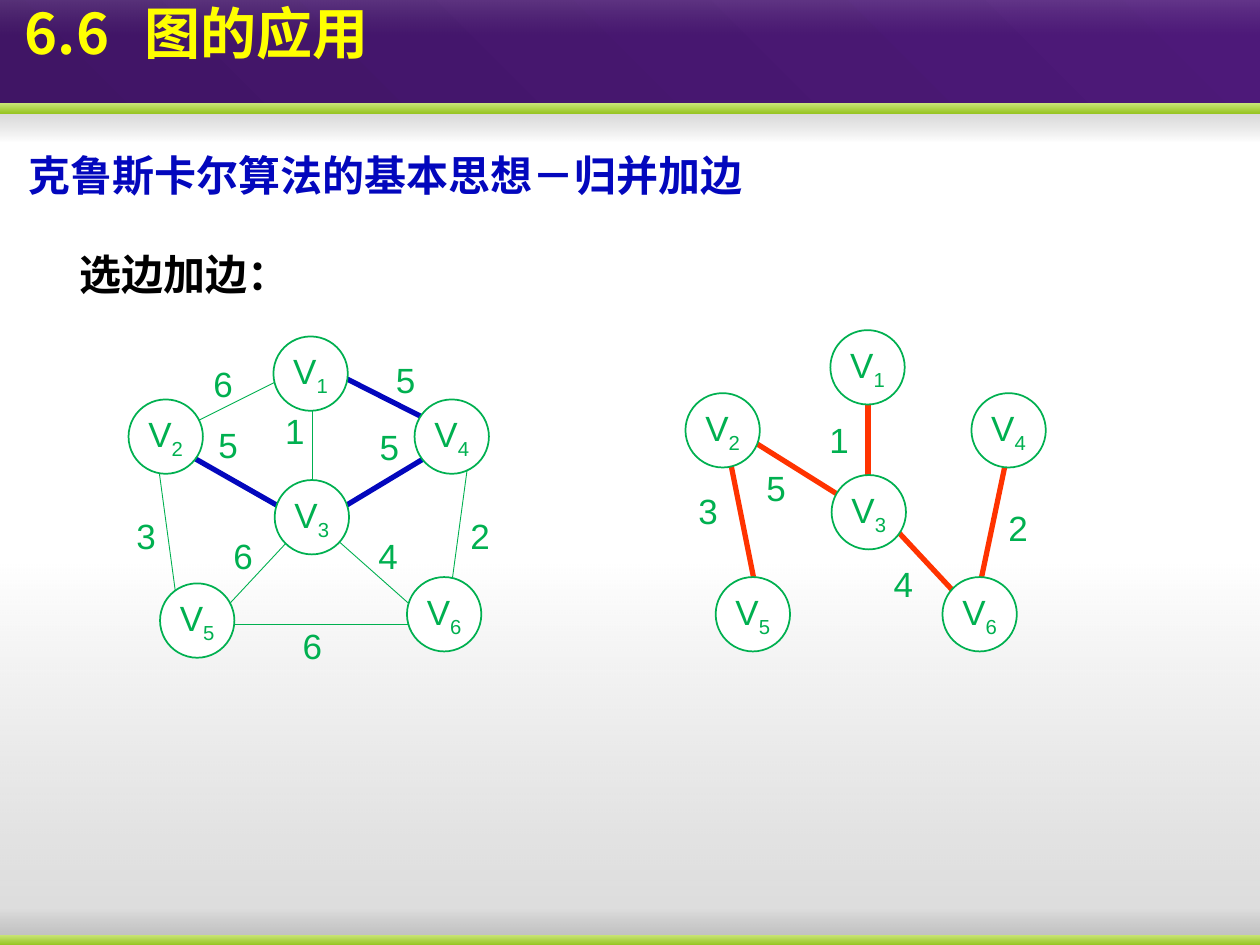
from dataclasses import dataclass
from typing import NamedTuple

from lxml.etree import SubElement
from pptx import Presentation
from pptx.dml.color import RGBColor
from pptx.enum.shapes import MSO_CONNECTOR as Link, MSO_SHAPE as Kind
from pptx.enum.text import MSO_ANCHOR as Anchor, MSO_AUTO_SIZE as Fit, PP_ALIGN as Align
from pptx.oxml.ns import qn
from pptx.util import Emu, Pt

PX = 9144  # EMU in one px, 100 px to the inch
WIDE, HIGH = 1000, 750
NODE, TAG = 59, 24

WHITE = RGBColor(0xFF, 0xFF, 0xFF)
BLACK = RGBColor(0x00, 0x00, 0x00)
YELLOW = RGBColor(0xFF, 0xFF, 0x00)
BLUE = RGBColor(0x03, 0x07, 0xBD)
GREEN = RGBColor(0x00, 0xB0, 0x50)
RED = RGBColor(0xFF, 0x33, 0x00)
LIME = RGBColor(0xC9, 0xE5, 0x76)
LEAF = RGBColor(0x97, 0xC5, 0x23)
PLUM = RGBColor(0x40, 0x15, 0x65)
GRAPE = RGBColor(0x4D, 0x19, 0x79)
DARK = RGBColor(0x5C, 0x5C, 0x5C)
GREY = RGBColor(0x80, 0x80, 0x80)
SILVER = RGBColor(0xB6, 0xB6, 0xB6)

LATIN, HAN = "Arial", "Noto Sans CJK SC"


class Band(NamedTuple):
    top: int
    high: int
    first: RGBColor
    last: RGBColor
    alpha: tuple[int, int] = (100, 100)
    angle: int = 270
    turn: int = 0


class Edge(NamedTuple):
    x1: int
    y1: int
    x2: int
    y2: int
    color: RGBColor = GREEN
    width: float = 0.5


class Mark(NamedTuple):
    text: str
    x: int
    y: int


@dataclass
class Graph:
    edges: list[Edge]
    nodes: list[Mark]
    tags: list[Mark]


FLOOR = [
    Band(722, 24, DARK, GREY, (0, 33)),
    Band(446, 304, DARK, GREY, (0, 29)),
    Band(742, 8, LIME, LEAF),
]
HEADER = [
    Band(0, 90, PLUM, GRAPE, angle=45),
    Band(88, 24, DARK, GREY, (0, 33), turn=180),
    Band(82, 8, LIME, LEAF),
    Band(0, 28, WHITE, SILVER, (13, 0)),
]

TREE = Graph(
    [Edge(*ends, RED, 3) for ends in (
        (677, 400, 594, 348), (763, 476, 708, 417), (598, 458, 579, 363),
        (778, 463, 799, 363), (689, 385, 689, 307))],
    [Mark("2", 544, 312), Mark("4", 771, 312), Mark("5", 568, 458),
     Mark("6", 748, 458), Mark("1", 659, 262), Mark("3", 660, 377)],
    [Mark("1", 654, 337), Mark("2", 796, 407), Mark("4", 705, 451),
     Mark("5", 604, 375), Mark("3", 550, 393)],
)
FULL = Graph(
    [Edge(248, 390, 248, 311), Edge(265, 407, 348, 357, BLUE, 3),
     Edge(126, 372, 142, 490), Edge(225, 300, 147, 339),
     Edge(343, 335, 264, 295, BLUE, 3), Edge(225, 404, 146, 359, BLUE, 3),
     Edge(338, 491, 267, 428), Edge(173, 489, 228, 430),
     Edge(182, 496, 328, 496), Edge(355, 489, 371, 371)],
    [Mark("2", 102, 317), Mark("4", 329, 317), Mark("5", 127, 463),
     Mark("6", 323, 458), Mark("1", 217, 267), Mark("3", 218, 381)],
    [Mark("6", 165, 292), Mark("3", 104, 413), Mark("6", 236, 500),
     Mark("2", 369, 413), Mark("5", 310, 289), Mark("5", 297, 342),
     Mark("5", 169, 341), Mark("1", 222, 330), Mark("6", 181, 429),
     Mark("4", 296, 429)],
)


def px(*sizes: int) -> list[Emu]:
    return [Emu(size * PX) for size in sizes]


def add_run(para, text: str, size: int, color: RGBColor, face: str = LATIN, bold: bool = False):
    run = para.add_run()
    run.text = text
    font = run.font
    font.name, font.size, font.bold = face, Pt(size), bold
    font.color.rgb = color
    SubElement(run._r.get_or_add_rPr(), qn("a:ea")).set("typeface", HAN)
    return run


def add_band(shapes, band: Band) -> None:
    rect = shapes.add_shape(Kind.RECTANGLE, *px(0, band.top, WIDE, band.high))
    rect.shadow.inherit = False
    rect.line.fill.background()
    rect.rotation = band.turn
    rect.fill.gradient()
    rect.fill.gradient_angle = band.angle
    for stop, color in zip(rect.fill.gradient_stops, (band.first, band.last)):
        stop.color.rgb = color
    for tone, alpha in zip(rect._element.xpath(".//a:gs/a:srgbClr"), band.alpha):
        if alpha < 100:
            SubElement(tone, qn("a:alpha")).set("val", str(alpha * 1000))


def add_edge(shapes, edge: Edge) -> None:
    line = shapes.add_connector(Link.STRAIGHT, *px(edge.x1, edge.y1, edge.x2, edge.y2))
    line.line.color.rgb = edge.color
    line.line.width = Pt(edge.width)
    SubElement(line._element.spPr, qn("a:effectLst"))


def center(frame):
    """Center the text both ways, unwrapped, and return its paragraph."""
    frame.word_wrap = False
    frame.vertical_anchor = Anchor.MIDDLE
    para = frame.paragraphs[0]
    para.alignment = Align.CENTER
    return para


def add_node(shapes, node: Mark) -> None:
    disc = shapes.add_shape(Kind.OVAL, *px(node.x, node.y, NODE, NODE))
    disc.shadow.inherit = False
    disc.fill.solid()
    disc.fill.fore_color.rgb = WHITE
    disc.line.color.rgb = GREEN
    disc.line.width = Pt(1)
    para = center(disc.text_frame)
    add_run(para, "V", 20, GREEN)
    low = add_run(para, node.text, 20, GREEN)
    low._r.get_or_add_rPr().set("baseline", "-25000")


def add_tag(shapes, tag: Mark) -> None:
    frame = shapes.add_textbox(*px(tag.x, tag.y, TAG, TAG)).text_frame
    frame.margin_left = frame.margin_right = frame.margin_top = frame.margin_bottom = 0
    add_run(center(frame), tag.text, 20, GREEN)


def add_graph(slide, graph: Graph) -> None:
    shapes = slide.shapes.add_group_shape().shapes
    for edge in graph.edges:
        add_edge(shapes, edge)
    for node in graph.nodes:
        add_node(shapes, node)
    for tag in graph.tags:
        add_tag(shapes, tag)


def add_title(shapes) -> None:
    frame = shapes.add_textbox(*px(10, 0, 990, 90)).text_frame
    frame.word_wrap = True
    para = frame.paragraphs[0]
    tabs = SubElement(para._p.get_or_add_pPr(), qn("a:tabLst"))
    SubElement(tabs, qn("a:tab"), pos=str(95 * PX), algn="l")
    para.line_spacing = 0.9
    add_run(para, "6.6\t图的应用", 32, YELLOW, HAN, True)


def add_topic(shapes) -> None:
    rect = shapes.add_shape(Kind.RECTANGLE, *px(13, 111, 609, 56))
    rect.shadow.inherit = False
    rect.fill.solid()
    rect.fill.fore_color.rgb = WHITE
    rect.line.fill.background()
    para = center(rect.text_frame)
    rect.text_frame.word_wrap = True
    para.alignment = Align.LEFT
    add_run(para, "克鲁斯卡尔算法的基本思想－归并加边", 24, BLUE, HAN, True)


def add_step(shapes) -> None:
    frame = shapes.add_textbox(*px(53, 197, 189, 50)).text_frame
    frame.word_wrap = False
    frame.auto_size = Fit.SHAPE_TO_FIT_TEXT
    para = frame.paragraphs[0]
    para.line_spacing = 0.9
    add_run(para, "选边加边：", 24, BLACK, bold=True)


def main() -> None:
    deck = Presentation()
    deck.slide_width, deck.slide_height = px(WIDE, HIGH)
    slide = deck.slides.add_slide(deck.slide_layouts[6])
    for band in FLOOR:
        add_band(slide.shapes, band)
    add_topic(slide.shapes)
    head = slide.shapes.add_group_shape().shapes
    for band in HEADER:
        add_band(head, band)
    add_title(head)
    add_graph(slide, TREE)
    add_step(slide.shapes)
    add_graph(slide, FULL)
    deck.save("out.pptx")


if __name__ == "__main__":
    main()
